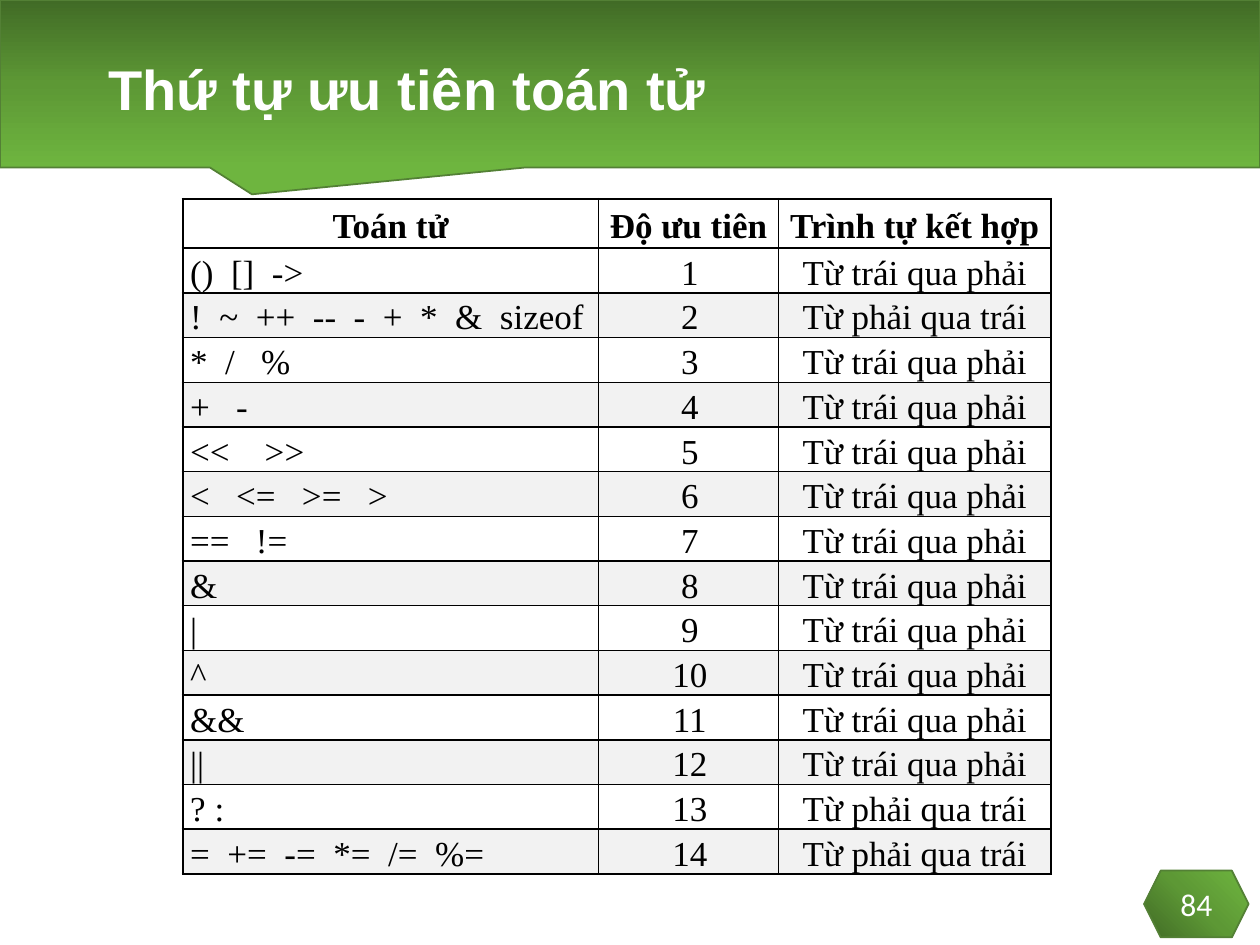
from dataclasses import dataclass

from pptx import Presentation
from pptx.dml.color import RGBColor
from pptx.enum.shapes import MSO_SHAPE as Shape
from pptx.enum.text import MSO_ANCHOR as Anchor, MSO_AUTO_SIZE as AutoSize, PP_ALIGN as Align
from pptx.oxml import parse_xml
from pptx.oxml.ns import nsdecls
from pptx.util import Inches, Pt


@dataclass(frozen=True)
class Theme:
    gradient: tuple = ((0, "416B26"), (50, "5D9835"), (100, "6EB53F"))
    outline: str = "538035"
    light: str = "FFFFFF"
    dark: str = "000000"
    stripe: str = "F2F2F2"
    title_font: str = "Arial"
    number_font: str = "Calibri"
    table_font: str = "Times New Roman"
    title_size: int = 32
    number_size: int = 18
    table_size: int = 20
    thin: float = 1
    thick: float = 1.5


LINEAR = '<a:lin ang="5400000" scaled="0"/>'
FROM_BOTTOM_LEFT = '<a:path path="circle"><a:fillToRect t="100000" r="100000"/></a:path>'

HEADINGS = ("Toán tử", "Độ ưu tiên", "Trình tự kết hợp")
OPERATORS = (
    "()  []  ->", "!  ~  ++  --  -  +  *  &  sizeof", "*  /   %", "+   -",
    "<<    >>", "<   <=   >=   >", "==   !=", "&", "|", "^", "&&", "||",
    "? :", "=  +=  -=  *=  /=  %=",
)
RIGHT_TO_LEFT = {2, 13, 14}


def write_text(frame, text, *, font, size, color, bold=False, align=Align.LEFT,
               spacing=1.0, margin=0, indent=0):
    frame.text = text
    paragraph = frame.paragraphs[0]
    paragraph.alignment = align
    paragraph.line_spacing = spacing
    properties = paragraph._p.get_or_add_pPr()
    properties.set("marL", str(Inches(margin)))
    properties.set("indent", str(Inches(indent)))
    run_font = paragraph.runs[0].font
    run_font.name, run_font.size, run_font.bold = font, Pt(size), bold
    run_font.color.rgb = RGBColor.from_string(color)


class SlideBuilder:
    def __init__(self, presentation, theme):
        self.theme = theme
        self.slide = presentation.slides.add_slide(presentation.slide_layouts[5])

    def gradient_shape(self, kind, left, top, width, height, direction):
        shape = self.slide.shapes.add_shape(
            kind, Inches(left), Inches(top), Inches(width), Inches(height))
        shape.shadow.inherit = False
        shape.fill.background()
        stops = "".join(
            f'<a:gs pos="{position * 1000}"><a:srgbClr val="{color}"/></a:gs>'
            for position, color in self.theme.gradient)
        properties = shape._element.spPr
        properties.replace(properties.find("{*}noFill"), parse_xml(
            f'<a:gradFill {nsdecls("a")} rotWithShape="1">'
            f"<a:gsLst>{stops}</a:gsLst>{direction}</a:gradFill>"))
        shape.line.color.rgb = RGBColor.from_string(self.theme.outline)
        shape.line.width = Pt(self.theme.thin)
        return shape

    def title(self, text, left, top, width, height):
        title = self.slide.shapes.title
        title.left, title.top = Inches(left), Inches(top)
        title.width, title.height = Inches(width), Inches(height)
        frame = title.text_frame
        frame.word_wrap, frame.auto_size = True, AutoSize.NONE
        frame.vertical_anchor = Anchor.MIDDLE
        write_text(frame, text, font=self.theme.title_font, size=self.theme.title_size,
                   color=self.theme.light, bold=True, spacing=0.9, margin=0.26, indent=-0.26)
        # Bring the title in front of the banner
        self.slide.shapes._spTree.append(title._element)

    def page_number(self, text, left, top, width, height):
        badge = self.gradient_shape(Shape.HEXAGON, left, top, width, height, FROM_BOTTOM_LEFT)
        badge.text_frame.vertical_anchor = Anchor.MIDDLE
        write_text(badge.text_frame, text, font=self.theme.number_font,
                   size=self.theme.number_size, color=self.theme.light, align=Align.CENTER)

    def borders(self, cell, **widths):
        properties = cell._tc.get_or_add_tcPr()
        for index, side in enumerate("LRTB"):
            properties.insert(index, parse_xml(
                f'<a:ln{side} {nsdecls("a")} w="{Pt(widths[side])}"><a:solidFill>'
                f'<a:srgbClr val="{self.theme.dark}"/></a:solidFill></a:ln{side}>'))

    def table(self, rows, left, top, column_widths, header_height, row_height):
        theme = self.theme
        last_row, last_column = len(rows) - 1, len(column_widths) - 1
        table = self.slide.shapes.add_table(
            len(rows), len(column_widths), Inches(left), Inches(top),
            Inches(sum(column_widths)), Inches(header_height + row_height * last_row)).table
        table.first_row = table.horz_banding = False
        for column, width in zip(table.columns, column_widths):
            column.width = Inches(width)

        def weight(is_heavy):
            return theme.thick if is_heavy else theme.thin

        for r, values in enumerate(rows):
            is_header = r == 0
            table.rows[r].height = Inches(header_height if is_header else row_height)
            for c, value in enumerate(values):
                cell = table.cell(r, c)
                cell.margin_left = cell.margin_right = Inches(0.06)
                cell.margin_top = cell.margin_bottom = 0
                cell.vertical_anchor = Anchor.MIDDLE if is_header else Anchor.TOP
                # Shade every second operator row
                if r and r % 2 == 0:
                    cell.fill.solid()
                    cell.fill.fore_color.rgb = RGBColor.from_string(theme.stripe)
                else:
                    cell.fill.background()
                write_text(cell.text_frame, value, font=theme.table_font,
                           size=theme.table_size, color=theme.dark, bold=is_header,
                           align=Align.CENTER if is_header or c else Align.LEFT,
                           spacing=1.15, margin=0.02 if r and c == 1 else 0)
                # Heavy lines around the table and below the header
                self.borders(cell, L=weight(c == 0), R=weight(c == last_column),
                             T=weight(r <= 1), B=weight(r in (0, last_row)))


def main():
    presentation = Presentation()
    presentation.slide_width, presentation.slide_height = Inches(10), Inches(7.5)
    builder = SlideBuilder(presentation, Theme())

    # Banner, page number and title
    banner = builder.gradient_shape(Shape.RECTANGULAR_CALLOUT, 0, 0, 10, 1.33, LINEAR)
    banner.adjustments[0], banner.adjustments[1] = -0.3, 0.66
    builder.page_number("84", 9.08, 6.91, 0.83, 0.53)
    builder.title("Thứ tự ưu tiên toán tử", 0.76, 0.42, 7.06, 0.62)

    # Operator precedence table
    rows = [HEADINGS]
    for rank, operators in enumerate(OPERATORS, start=1):
        order = "Từ phải qua trái" if rank in RIGHT_TO_LEFT else "Từ trái qua phải"
        rows.append((operators, str(rank), order))
    builder.table(rows, 1.45, 1.58, (3.3, 1.43, 2.16), 0.39, 0.35)

    presentation.save("out.pptx")


if __name__ == "__main__":
    main()
